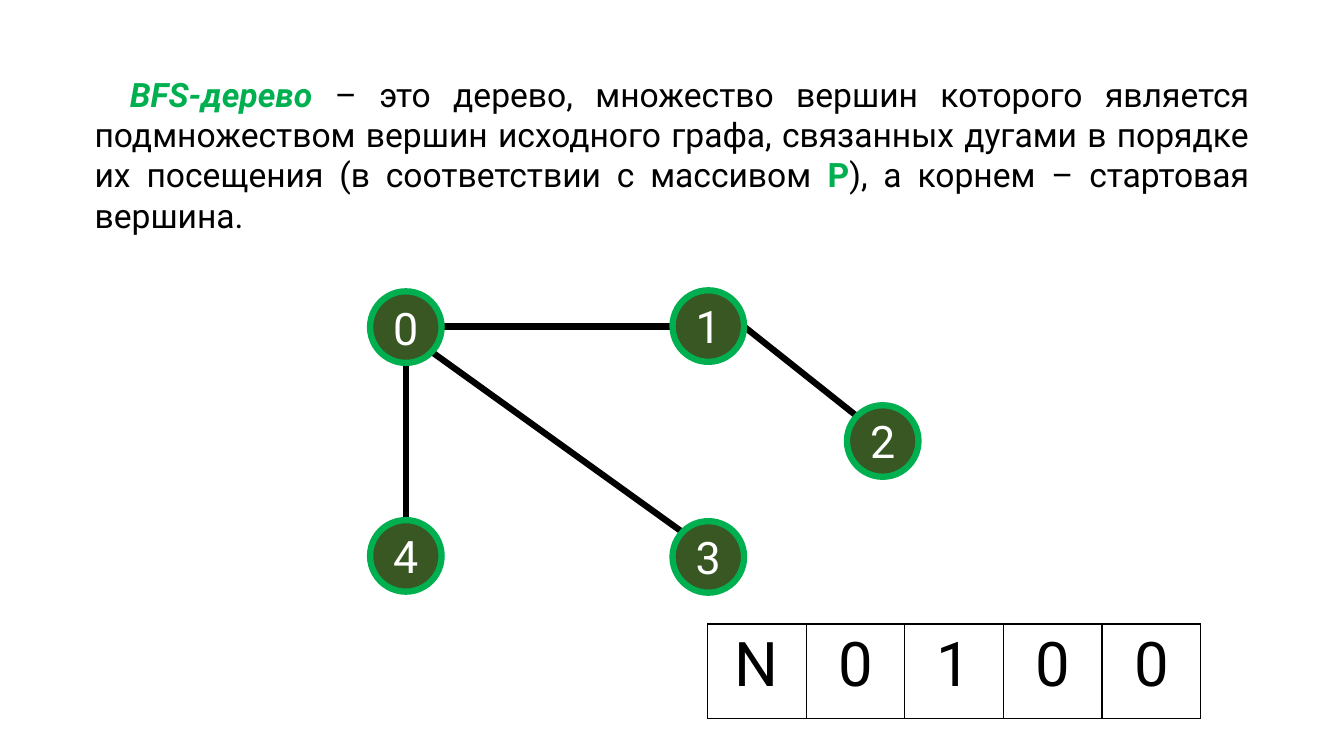
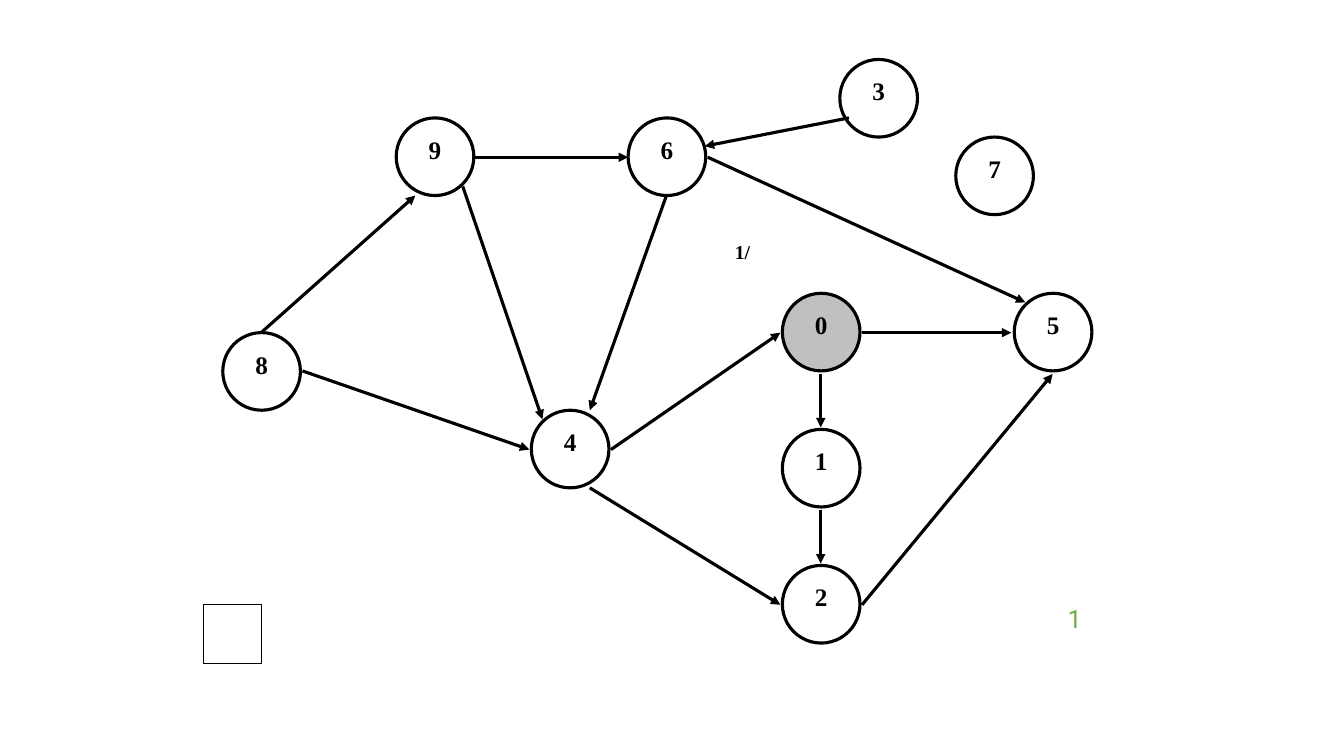
from dataclasses import dataclass
from typing import Any, Optional

from lxml import etree
from pptx import Presentation
from pptx.dml.color import RGBColor
from pptx.enum import shapes, text
from pptx.oxml import ns
from pptx.util import Inches, Pt


@dataclass(frozen=True)
class Theme:
    black: str = "000000"
    white: str = "FFFFFF"
    green: str = "00B050"
    dark: str = "385723"
    grey: str = "C0C0C0"
    leaf: str = "70AD47"
    sans: str = "Roboto"
    serif: str = "Times New Roman"
    small: int = 14
    label: int = 18
    body: int = 24
    node: int = 32
    cell: int = 44


T = Theme()


@dataclass(frozen=True)
class Style:
    """Look of a graph: its nodes, their labels and its edges."""
    size: float
    fill: str
    rim: str
    width: float
    font: dict[str, Any]
    anchor: Any
    arrow: bool


@dataclass(frozen=True)
class Node:
    name: str
    left: float
    top: float
    fill: Optional[str] = None


@dataclass(frozen=True)
class Edge:
    x1: float
    y1: float
    x2: float
    y2: float


TREE = Style(0.71, T.dark, T.green, 4.5,
             dict(name=T.sans, size=T.node, color=T.white),
             text.MSO_ANCHOR.MIDDLE, False)
GRAPH = Style(0.77, T.white, T.black, 2.25,
              dict(name=T.serif, size=T.label, color=T.black, bold=True),
              text.MSO_ANCHOR.TOP, True)

TREE_NODES = [
    Node("0", 3.67, 2.89), Node("3", 6.67, 5.17), Node("1", 6.67, 2.88),
    Node("2", 8.4, 4.02), Node("4", 3.67, 5.16),
]
TREE_EDGES = [
    Edge(4.38, 3.24, 6.67, 3.24), Edge(4.28, 3.49, 6.77, 5.28),
    Edge(4.03, 3.6, 4.03, 5.16), Edge(8.5, 4.13, 7.38, 3.24),
]
GRAPH_NODES = [
    Node("9", 3.93, 1.17), Node("8", 2.21, 3.3), Node("0", 7.76, 2.91, T.grey),
    Node("4", 5.27, 4.07), Node("6", 6.23, 1.17), Node("5", 10.06, 2.91),
    Node("1", 7.76, 4.26), Node("2", 7.76, 5.61), Node("3", 8.33, 0.59),
    Node("7", 9.48, 1.36),
]
GRAPH_EDGES = [
    Edge(4.7, 1.56, 6.23, 1.56), Edge(2.59, 3.3, 4.12, 1.94),
    Edge(6.61, 1.94, 5.85, 4.07), Edge(4.59, 1.85, 5.38, 4.16),
    Edge(6.06, 4.46, 7.74, 3.3), Edge(8.55, 3.3, 10.03, 3.3),
    Edge(7.02, 1.56, 10.17, 3), Edge(8.14, 3.71, 8.14, 4.24),
    Edge(8.14, 5.06, 8.14, 5.59), Edge(8.55, 6, 10.44, 3.71),
    Edge(5.85, 4.84, 7.74, 6), Edge(3, 3.68, 5.25, 4.46),
    Edge(8.42, 1.17, 6.99, 1.45),
]


def rgb(color: str) -> RGBColor:
    return RGBColor.from_string(color)


def add_run(para: Any, words: str, font: dict[str, Any]) -> None:
    run = para.add_run()
    run.text = words
    for key, value in font.items():
        if key == "color":
            run.font.color.rgb = rgb(value)
        else:
            setattr(run.font, key, Pt(value) if key == "size" else value)


def add_shape(slide: Any, kind: Any, box: tuple[float, ...], fill: str,
              rim: Optional[str] = None, width: float = 0) -> Any:
    shape = slide.shapes.add_shape(kind, *map(Inches, box))
    shape.shadow.inherit = False
    shape.fill.solid()
    shape.fill.fore_color.rgb = rgb(fill)
    if rim:
        shape.line.color.rgb = rgb(rim)
        shape.line.width = Pt(width)
    else:
        shape.line.fill.background()
    return shape


def add_node(slide: Any, node: Node, style: Style) -> None:
    box = (node.left, node.top, style.size, style.size)
    shape = add_shape(slide, shapes.MSO_SHAPE.OVAL, box,
                      node.fill or style.fill, style.rim, style.width)
    shape.text_frame.vertical_anchor = style.anchor
    para = shape.text_frame.paragraphs[0]
    para.alignment = text.PP_ALIGN.CENTER
    add_run(para, node.name, style.font)


def add_edge(slide: Any, edge: Edge, style: Style) -> None:
    ends = map(Inches, (edge.x1, edge.y1, edge.x2, edge.y2))
    line = slide.shapes.add_connector(shapes.MSO_CONNECTOR.STRAIGHT, *ends)
    line.line.color.rgb = rgb(T.black)
    line.line.width = Pt(style.width)
    if style.arrow:
        etree.SubElement(line.line._get_or_add_ln(), ns.qn("a:tailEnd"),
                         type="triangle")
    etree.SubElement(line._element.spPr, ns.qn("a:effectLst"))


def add_text(slide: Any, box: tuple[float, ...], wrap: bool) -> Any:
    """Add a text box and return its first paragraph."""
    frame = slide.shapes.add_textbox(*map(Inches, box)).text_frame
    frame.word_wrap = wrap
    return frame.paragraphs[0]


def set_border(cell: Any, sides: str) -> None:
    """Draw the named sides (of L, R, T, B) and clear the others."""
    props = cell._tc.get_or_add_tcPr()
    for side in "LRTB":
        line = etree.SubElement(props, ns.qn(f"a:ln{side}"), w=str(Pt(1)))
        if side in sides:
            fill = etree.SubElement(line, ns.qn("a:solidFill"))
            etree.SubElement(fill, ns.qn("a:srgbClr"), val=T.black)
        else:
            etree.SubElement(line, ns.qn("a:noFill"))


def add_parents(slide: Any, names: list[str]) -> None:
    """Add the one-row array of parents; an empty name leaves a bare cell."""
    box = map(Inches, (6.04, 6.19, 5.87, 0.94))
    table = slide.shapes.add_table(1, len(names), *box).table
    table.first_row = table.horz_banding = False
    for cell, name in zip(table.rows[0].cells, names):
        set_border(cell, "LRTB" if name else "R")
        cell.fill.background()
        para = cell.text_frame.paragraphs[0]
        para.alignment = text.PP_ALIGN.CENTER
        if name:
            add_run(para, name, dict(name=T.sans, size=T.cell, color=T.black))


def draw_tree(slide: Any) -> None:
    para = add_text(slide, (0.84, 0.68, 11.65, 1.72), True)
    para.alignment = text.PP_ALIGN.JUSTIFY
    para._p.get_or_add_pPr().set("indent", str(Inches(0.35)))
    plain = dict(name=T.sans, size=T.body, color=T.black)
    key = plain | dict(color=T.green, bold=True)
    for words, font in (
        ("BFS-дерево ", key | dict(italic=True)),
        ("– это дерево, множество вершин которого является подмножеством "
         "вершин исходного графа, связанных дугами в порядке их посещения "
         "(в соответствии с массивом ", plain),
        ("P", key),
        ("), а корнем – стартовая вершина.", plain),
    ):
        add_run(para, words, font)
    for edge in TREE_EDGES:
        add_edge(slide, edge, TREE)
    for node in TREE_NODES:
        add_node(slide, node, TREE)
    add_parents(slide, ["", "N", "0", "1", "0", "0"])


def draw_graph(slide: Any) -> None:
    for node in GRAPH_NODES:
        add_node(slide, node, GRAPH)
    for edge in GRAPH_EDGES:
        add_edge(slide, edge, GRAPH)
    rect = shapes.MSO_SHAPE.RECTANGLE
    mark = add_shape(slide, rect, (7.19, 2.33, 0.77, 0.58), T.white)
    mark.text_frame.vertical_anchor = text.MSO_ANCHOR.TOP
    para = mark.text_frame.paragraphs[0]
    para.alignment = text.PP_ALIGN.LEFT
    add_run(para, "1/", GRAPH.font | dict(size=T.small))
    add_shape(slide, rect, (2.02, 6, 0.57, 0.58), T.white, T.black, 0.75)
    step = add_text(slide, (10.49, 5.94, 0.34, 0.4), False)
    add_run(step, "1", dict(name=T.sans, size=T.label, color=T.leaf))


def main() -> None:
    deck = Presentation()
    deck.slide_width, deck.slide_height = Inches(13.33), Inches(7.5)
    blank = deck.slide_layouts[6]
    for draw in (draw_tree, draw_graph):
        draw(deck.slides.add_slide(blank))
    deck.save("out.pptx")


if __name__ == "__main__":
    main()
